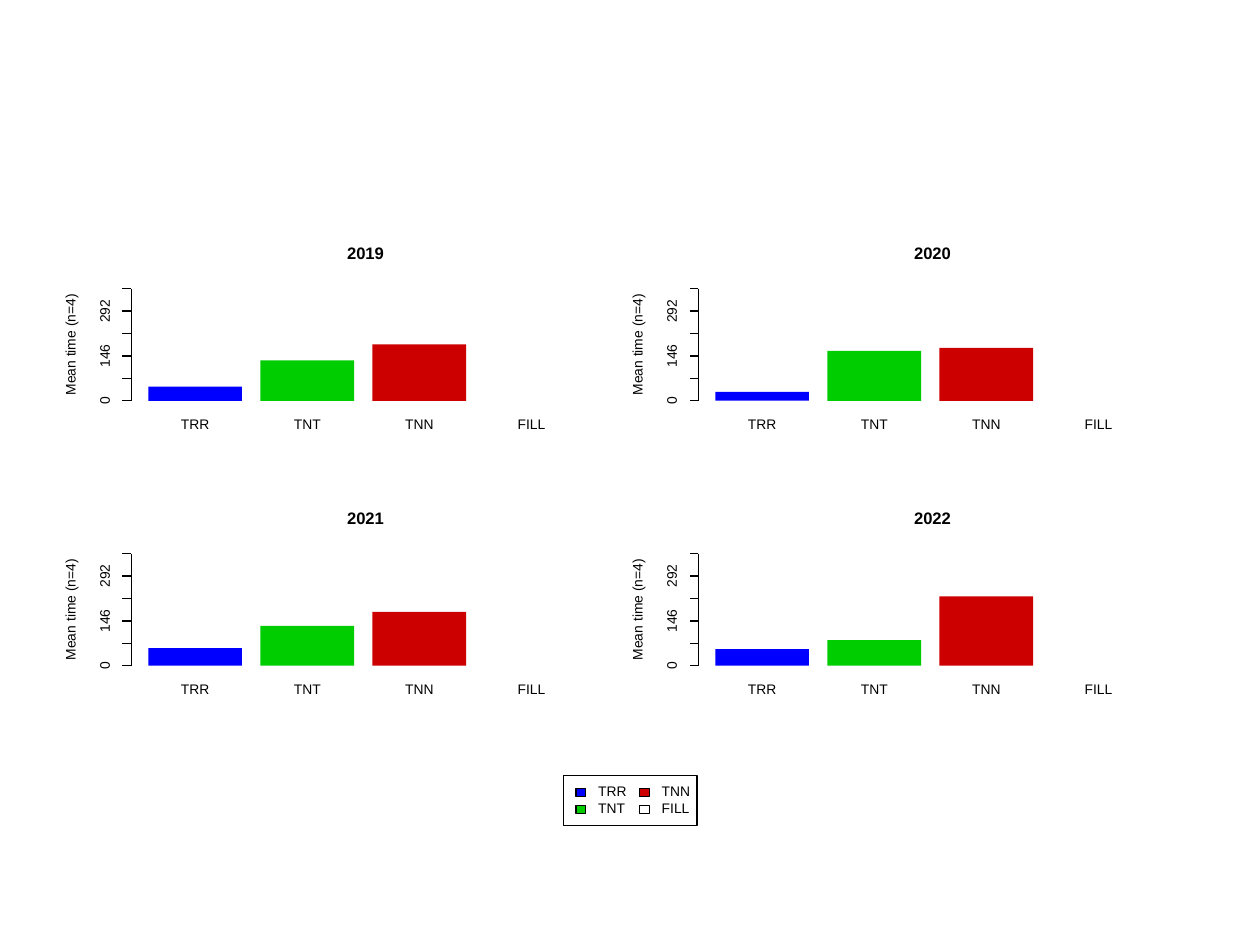
from lxml import etree
from pptx import Presentation
from pptx.dml.color import RGBColor
from pptx.enum.shapes import MSO_CONNECTOR, MSO_SHAPE
from pptx.enum.text import MSO_ANCHOR, PP_ALIGN
from pptx.oxml.ns import qn
from pptx.util import Cm, Pt

RECTANGLE = MSO_SHAPE.RECTANGLE
STRAIGHT = MSO_CONNECTOR.STRAIGHT
MIDDLE = MSO_ANCHOR.MIDDLE
CENTER, LEFT = PP_ALIGN.CENTER, PP_ALIGN.LEFT

COLORS = {"ink": "000000", "paper": "FFFFFF",
          "TRR": "0000FF", "TNT": "00CD00", "TNN": "CD0000", "FILL": "FFFFFF"}
CATEGORIES = ["TRR", "TNT", "TNN", "FILL"]
# Year, then mean times in category order
PANELS = [
    ("2019", (46, 132, 184, 0)),
    ("2020", (29, 163, 172, 0)),
    ("2021", (57, 130, 175, 0)),
    ("2022", (54, 83, 226, 0)),
]
AXIS_TITLE = "Mean time (n=4)"
TICK_STEP, TICK_COUNT = 73, 6
TICK_LABELS = (0, 146, 292)

LABEL = {"name": "Arial", "size": Pt(7.9), "bold": False}
TITLE = {"name": "Arial", "size": Pt(9.5), "bold": True}

# All lengths below are in cm
BACKDROP = (1.27, 4.45, 22.86, 12.57)
AXIS_X, BASE_Y = 2.65, 8.08
PANEL_STEP_X, PANEL_STEP_Y = 11.43, 5.34
AXIS_HEIGHT, TICK_LENGTH = 2.26, 0.18
BAR_OFFSET, BAR_WIDTH, BAR_STEP = 0.34, 1.89, 2.26
LABEL_WIDTH, TITLE_WIDTH, AXIS_TITLE_WIDTH = 0.62, 0.85, 2.2
LEGEND_X, LEGEND_Y, LEGEND_WIDTH, LEGEND_HEIGHT = 11.36, 15.64, 2.69, 1.01
ENTRY_STEP_X, ENTRY_STEP_Y = 1.28, 0.34
SWATCH_WIDTH, SWATCH_HEIGHT = 0.2, 0.17


def color(key):
    return RGBColor.from_string(COLORS[key])


def add_rectangle(slide, left, top, width, height, fill, outline=None):
    box = slide.shapes.add_shape(RECTANGLE, Cm(left), Cm(top), Cm(width), Cm(height))
    box.shadow.inherit = False
    box.fill.solid()
    box.fill.fore_color.rgb = color(fill)
    if outline:
        box.line.color.rgb = color(outline)
        box.line.width = Pt(0.75)
    else:
        box.line.fill.background()


def add_line(slide, x1, y1, x2, y2):
    line = slide.shapes.add_connector(STRAIGHT, Cm(x1), Cm(y1), Cm(x2), Cm(y2))
    line.line.color.rgb = color("ink")
    line.line.width = Pt(0.75)
    etree.SubElement(line._element.spPr, qn("a:effectLst"))


def add_text(slide, text, center_x, center_y, width, style=LABEL,
             rotation=0, alignment=CENTER):
    """Put one line of text in a box centred on a point."""
    height = style["size"].cm * 0.75
    box = slide.shapes.add_textbox(Cm(center_x - width / 2), Cm(center_y - height / 2),
                                   Cm(width), Cm(height))
    box.rotation = rotation
    frame = box.text_frame
    frame.word_wrap = False
    frame.vertical_anchor = MIDDLE
    for side in ("left", "top", "right", "bottom"):
        setattr(frame, f"margin_{side}", 0)
    para = frame.paragraphs[0]
    para.alignment = alignment
    para.line_spacing = style["size"]
    span = para.add_run()
    span.text = text
    for attribute, value in style.items():
        setattr(span.font, attribute, value)
    span.font.color.rgb = color("ink")


def add_panel(slide, axis_x, base_y, year, values):
    unit = AXIS_HEIGHT / (TICK_STEP * (TICK_COUNT - 1))
    for index, (category, value) in enumerate(zip(CATEGORIES, values)):
        left = axis_x + BAR_OFFSET + index * BAR_STEP
        height = value * unit
        add_rectangle(slide, left, base_y - height, BAR_WIDTH, height, category)
        add_text(slide, category, left + BAR_WIDTH / 2, base_y + 0.49, LABEL_WIDTH)

    add_text(slide, year, axis_x + 4.72, base_y - 2.95, TITLE_WIDTH, TITLE)
    add_text(slide, AXIS_TITLE, axis_x - 1.21, base_y - AXIS_HEIGHT / 2,
             AXIS_TITLE_WIDTH, rotation=270)

    add_line(slide, axis_x, base_y, axis_x, base_y - AXIS_HEIGHT)
    for index in range(TICK_COUNT):
        value = index * TICK_STEP
        y = base_y - value * unit
        add_line(slide, axis_x, y, axis_x - TICK_LENGTH, y)
        if value in TICK_LABELS:
            add_text(slide, str(value), axis_x - 0.52, y, LABEL_WIDTH, rotation=270)


def add_legend(slide):
    add_rectangle(slide, LEGEND_X, LEGEND_Y, LEGEND_WIDTH, LEGEND_HEIGHT, "paper", "ink")
    for index, category in enumerate(CATEGORIES):
        column, row = divmod(index, 2)
        left = LEGEND_X + 0.25 + column * ENTRY_STEP_X
        middle = LEGEND_Y + 0.34 + row * ENTRY_STEP_Y
        add_rectangle(slide, left, middle - SWATCH_HEIGHT / 2,
                      SWATCH_WIDTH, SWATCH_HEIGHT, category, "ink")
        add_text(slide, category, left + 0.45 + LABEL_WIDTH / 2, middle - 0.01,
                 LABEL_WIDTH, alignment=LEFT)


def main():
    deck = Presentation()
    deck.slide_width, deck.slide_height = Cm(25.4), Cm(19.05)
    slide = deck.slides.add_slide(deck.slide_layouts[6])
    add_rectangle(slide, *BACKDROP, "paper", "paper")
    for index, (year, values) in enumerate(PANELS):
        row, column = divmod(index, 2)
        add_panel(slide, AXIS_X + column * PANEL_STEP_X,
                  BASE_Y + row * PANEL_STEP_Y, year, values)
    add_legend(slide)
    deck.save("out.pptx")


if __name__ == "__main__":
    main()
